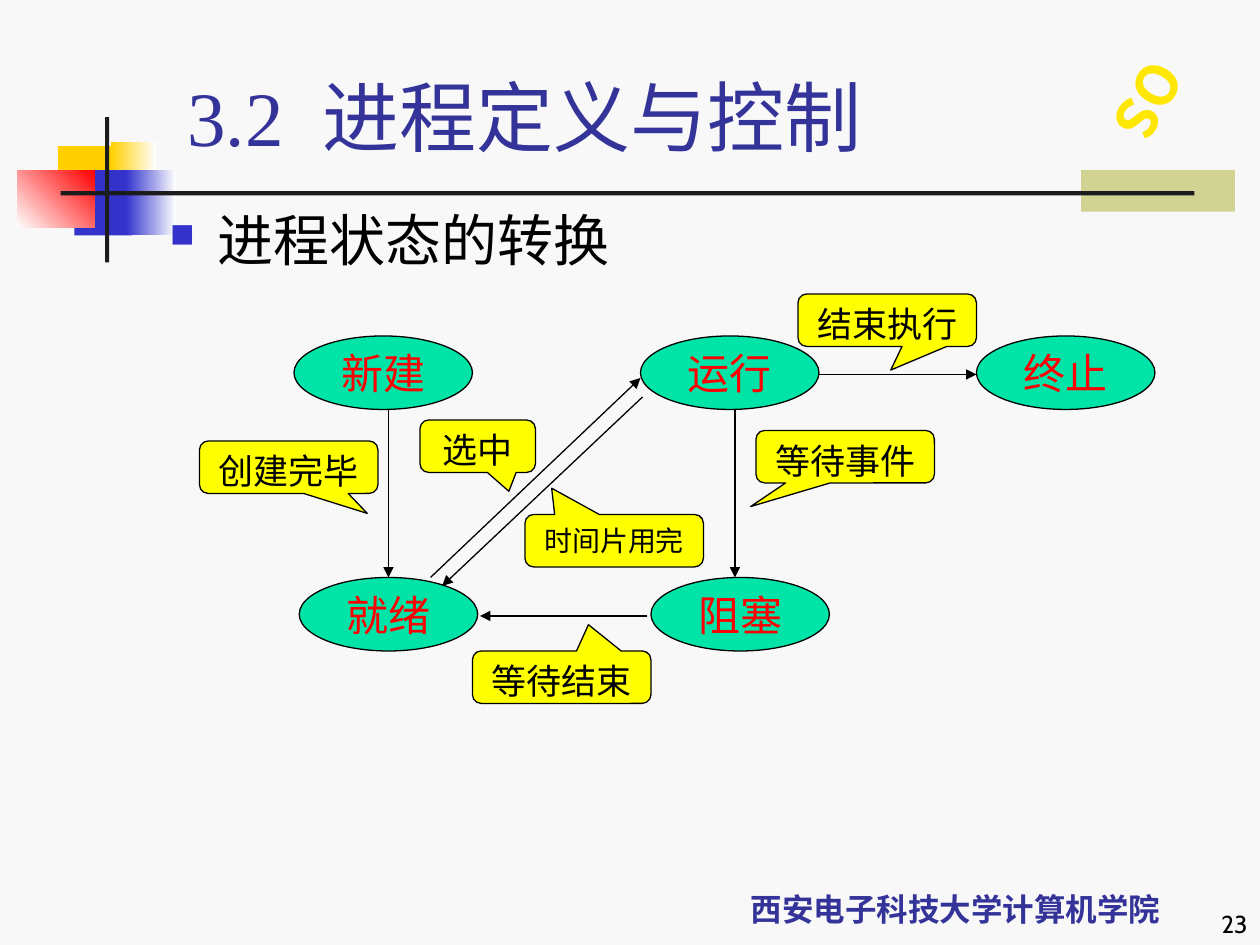
from lxml.etree import SubElement
from pptx import Presentation
from pptx.dml.color import RGBColor
from pptx.enum.shapes import MSO_CONNECTOR, MSO_SHAPE
from pptx.enum.text import MSO_ANCHOR, PP_ALIGN
from pptx.oxml.ns import qn
from pptx.util import Pt

PAPER = RGBColor(0xF8, 0xF8, 0xF8)
BLACK = RGBColor(0, 0, 0)
WHITE = RGBColor(0xFF, 0xFF, 0xFF)
INK = RGBColor(0x1C, 0x1C, 0x1C)
NAVY = RGBColor(0x33, 0x33, 0x99)
BLUE = RGBColor(0x33, 0x33, 0xCC)
RED = RGBColor(0xFF, 0, 0)
GOLD = RGBColor(0xFF, 0xCF, 0x01)
LEMON = RGBColor(0xFF, 0xE7, 0x01)
KHAKI = RGBColor(0xD1, 0xD3, 0x93)
GREEN = RGBColor(0, 0xE4, 0xA8)
YELLOW = RGBColor(0xFF, 0xFF, 0)

SERIF, SANS, NUMERAL = "Times New Roman", "Noto Sans CJK SC", "Cabin"
STATE_SIZE = (102, 42)
LABEL_HEIGHT = 30

# Box, colours (two make a gradient) and gradient angle
DECOR = [
    ((617.8, 97.2, 87.8, 23.8), [KHAKI], 0),
    ((33.1, 83.5, 34.6, 37.4), [GOLD], 0),
    ((63.4, 81.4, 25.9, 37.4), [GOLD, WHITE], 0),
    ((42.5, 97.2, 33.1, 37.4), [BLUE], 0),
    ((72, 97.2, 28.8, 37.4), [BLUE, WHITE], 0),
    ((10, 97.2, 44, 33.1), [WHITE, RED], 45),
    ((60, 67, 2.4, 83), [INK], 0),
    ((34.6, 109.2, 648, 2.4), [INK], 0),
]
STATES = [
    ("新建", 168, 192),
    ("终止", 558, 192),
    ("就绪", 171, 330),
    ("阻塞", 372, 330),
    ("运行", 366, 192),
]
ARROWS = [
    (222, 234, 222, 330),
    (246, 330, 366, 216),
    (367.2, 226.8, 252.7, 334.8),
    (420, 234, 420, 330),
    (370, 352, 274.3, 352),
    (468, 214, 558, 214),
]
# Text, left, top, width, font size, pointer tip
LABELS = [
    ("创建完毕", 114, 252, 102, 20, (0.44, 0.88)),
    ("时间片用完", 300, 294, 102, 16, (-0.35, -1)),
    ("结束执行", 456, 168, 102, 20, (0.02, 0.95)),
    ("选中", 240, 240, 66, 20, (0.27, 0.86)),
    ("等待事件", 432, 246, 102, 20, (-0.53, 0.95)),
    ("等待结束", 270, 372, 102, 20, (0.15, -1)),
]


def apply(target, formats):
    for name, value in formats.items():
        setattr(target, name, value)


def points(values):
    return [Pt(v) for v in values]


def add_run(p, text, size, color, name=SERIF, bold=False):
    r = p.add_run()
    r.text = text
    apply(r.font, {"size": Pt(size), "name": name, "bold": bold})
    r.font.color.rgb = color
    SubElement(r.font._element, qn("a:ea"), typeface=SANS)
    return r


def set_text(sp, anchor, align, wrap=True):
    tf = sp.text_frame
    apply(tf, {"vertical_anchor": anchor, "word_wrap": wrap})
    p = tf.paragraphs[0]
    p.alignment = align
    return p


def add_text(s, box, anchor, align, wrap=True):
    sp = s.shapes.add_textbox(*points(box))
    return sp, set_text(sp, anchor, align, wrap)


def add_block(s, box, colors, angle):
    sp = s.shapes.add_shape(MSO_SHAPE.RECTANGLE, *points(box))
    sp.shadow.inherit = False
    sp.line.fill.background()
    if len(colors) == 1:
        sp.fill.solid()
        sp.fill.fore_color.rgb = colors[0]
        return
    sp.fill.gradient()
    sp.fill.gradient_angle = angle
    for stop, color in zip(sp.fill.gradient_stops, colors):
        stop.color.rgb = color


def add_outlined(s, kind, box, fill):
    sp = s.shapes.add_shape(kind, *points(box))
    sp.shadow.inherit = False
    sp.fill.solid()
    sp.fill.fore_color.rgb = fill
    sp.line.color.rgb = BLACK
    sp.line.width = Pt(0.75)
    return sp


def add_state(s, text, left, top):
    sp = add_outlined(s, MSO_SHAPE.OVAL, (left, top, *STATE_SIZE), GREEN)
    p = set_text(sp, MSO_ANCHOR.MIDDLE, PP_ALIGN.CENTER, wrap=False)
    add_run(p, text, 24, RED)


def add_label(s, text, left, top, width, size, tip):
    box = (left, top, width, LABEL_HEIGHT)
    sp = add_outlined(s, MSO_SHAPE.ROUNDED_RECTANGULAR_CALLOUT, box, YELLOW)
    sp.adjustments[0], sp.adjustments[1] = tip
    add_run(set_text(sp, MSO_ANCHOR.TOP, PP_ALIGN.CENTER), text, size, BLACK)


def add_arrow(s, ends):
    c = s.shapes.add_connector(MSO_CONNECTOR.STRAIGHT, *points(ends))
    c.line.color.rgb = BLACK
    c.line.width = Pt(0.75)
    SubElement(c.line._get_or_add_ln(), qn("a:tailEnd"), type="triangle")
    SubElement(c._element.spPr, qn("a:effectLst"))


def add_bullet(p):
    pPr = p._p.get_or_add_pPr()
    apply_xml = {"marL": Pt(27), "indent": -Pt(27)}
    for name, value in apply_xml.items():
        pPr.set(name, str(value))
    color = SubElement(pPr, qn("a:buClr"))
    SubElement(color, qn("a:srgbClr"), val=str(BLUE))
    SubElement(pPr, qn("a:buSzPct"), val="60000")
    SubElement(pPr, qn("a:buFont"), typeface="Wingdings")
    SubElement(pPr, qn("a:buChar"), char="n")


def add_course_mark(s):
    sp, p = add_text(s, (630.7, 28.8, 56.9, 51.1), MSO_ANCHOR.MIDDLE,
                     PP_ALIGN.CENTER, wrap=False)
    sp.rotation = 29.3
    apply(sp.text_frame, {"margin_left": Pt(3.6), "margin_right": Pt(3.6),
                          "margin_top": Pt(7.2), "margin_bottom": Pt(7.2)})
    sp.text_frame._txBody.bodyPr.set("vert", "eaVert")
    add_run(p, "OS", 32, LEMON, SANS, True)


def add_heading(s):
    _, p = add_text(s, (100, 36, 613.5, 60), MSO_ANCHOR.BOTTOM, PP_ALIGN.LEFT)
    add_run(p, "3.2", 44, NAVY)
    # Widen the gap after the section number
    gap = add_run(p, " ", 44, NAVY)
    gap.font._element.set("spc", "1100")
    add_run(p, "进程定义与控制", 44, NAVY)


def main():
    prs = Presentation()
    prs.slide_width, prs.slide_height = Pt(720), Pt(540)
    s = prs.slides.add_slide(prs.slide_layouts[6])
    s.background.fill.solid()
    s.background.fill.fore_color.rgb = PAPER

    # Frame: colour blocks, course mark, footer
    for block in DECOR:
        add_block(s, *block)
    _, p = add_text(s, (384, 492, 324, 42), MSO_ANCHOR.BOTTOM, PP_ALIGN.CENTER)
    add_run(p, "西安电子科技大学计算机学院", 18, NAVY, SANS, True)
    add_course_mark(s)
    _, p = add_text(s, (570, 504, 150, 36), MSO_ANCHOR.BOTTOM, PP_ALIGN.RIGHT)
    add_run(p, "23", 14, BLACK, NUMERAL)

    # Title and topic
    add_heading(s)
    _, p = add_text(s, (90, 114, 612, 48), MSO_ANCHOR.TOP, PP_ALIGN.LEFT)
    add_bullet(p)
    add_run(p, "进程状态的转换", 32, BLACK)

    # State diagram
    for state in STATES:
        add_state(s, *state)
    for ends in ARROWS:
        add_arrow(s, ends)
    for label in LABELS:
        add_label(s, *label)

    prs.save("out.pptx")


if __name__ == "__main__":
    main()
